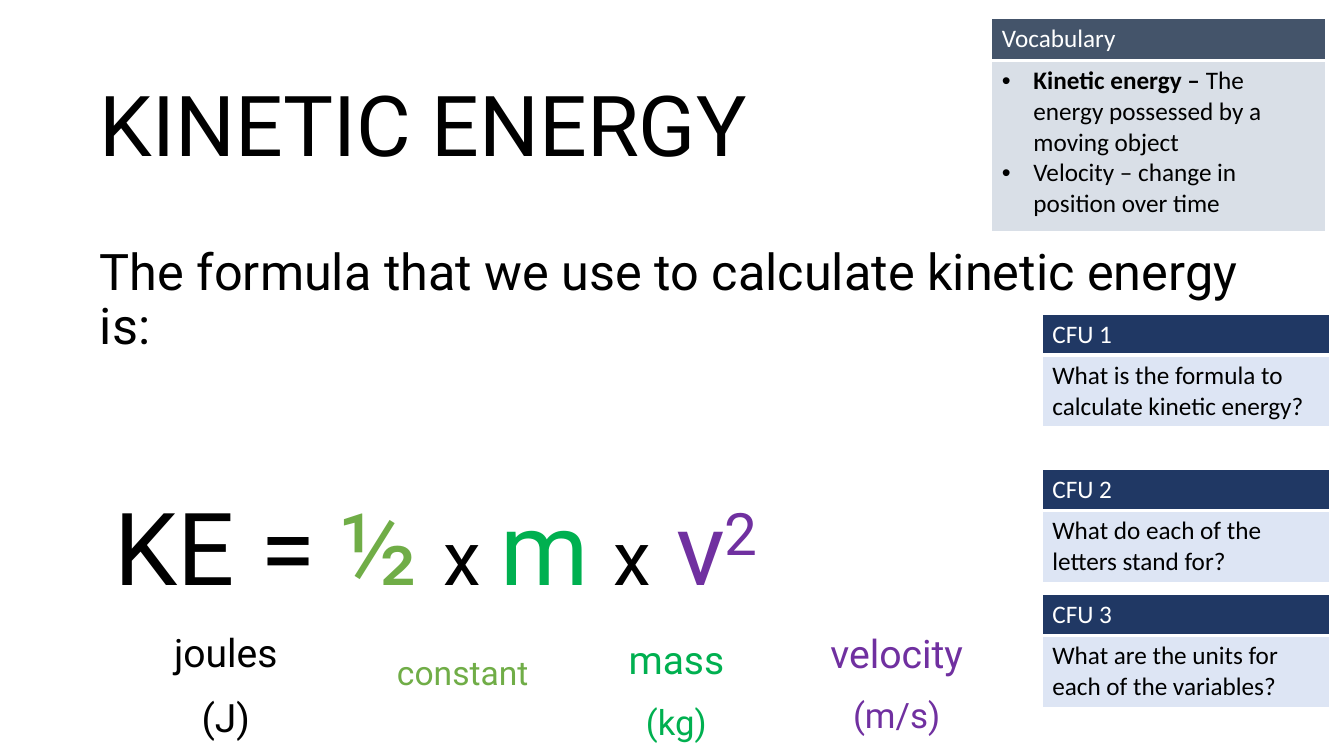
"""Build the kinetic energy slide with its formula, vocabulary and question tables."""
from dataclasses import dataclass
from typing import Any

from lxml.etree import SubElement, fromstring
from pptx import Presentation
from pptx.dml.color import RGBColor
from pptx.enum.text import MSO_ANCHOR as Anchor, MSO_AUTO_SIZE as AutoSize, PP_ALIGN as Align
from pptx.oxml.ns import nsdecls, qn
from pptx.util import Pt

BLACK, WHITE = "000000", "FFFFFF"
GREEN, LIME, PURPLE = "00B050", "70AD47", "7030A0"
NAVY, PALE_BLUE = "203864", "DAE3F3"
SLATE, PALE_SLATE = "44546A", "D6DCE5"
BODY_OPACITY = 91


@dataclass(frozen=True)
class Piece:
    text: str
    size: float
    color: str = BLACK
    font: str = "Roboto"
    bold: bool = False
    superscript: bool = False
    shadow: bool = False


@dataclass(frozen=True)
class Box:
    left: float
    top: float
    width: float
    height: float


@dataclass(frozen=True)
class Card:
    box: Box
    header_height: float
    heading: str
    lines: list[list[Piece]]
    header_fill: str = NAVY
    body_fill: str = PALE_BLUE
    bulleted: bool = False


@dataclass(frozen=True)
class Label:
    box: Box
    lines: list[list[Piece]]
    align: Align = Align.CENTER


def color_of(value: str) -> RGBColor:
    return RGBColor.from_string(value)


def add_piece(paragraph: Any, piece: Piece) -> None:
    run = paragraph.add_run()
    run.text = piece.text
    run.font.size = Pt(piece.size)
    run.font.bold = piece.bold
    run.font.color.rgb = color_of(piece.color)
    properties = run.font._element
    if piece.superscript:
        properties.set("baseline", "30000")
    if piece.shadow:
        properties.append(fromstring(
            f'<a:effectLst {nsdecls("a")}><a:outerShdw blurRad="38100" dist="38100" dir="2700000" algn="tl">'
            '<a:srgbClr val="000000"><a:alpha val="43000"/></a:srgbClr></a:outerShdw></a:effectLst>'))
    run.font.name = piece.font


def add_bullet(paragraph: Any) -> None:
    properties = paragraph._p.get_or_add_pPr()
    properties.set("marL", str(Pt(22.5)))
    properties.set("indent", str(-Pt(22.5)))
    SubElement(properties, qn("a:buFont")).set("typeface", "Arial")
    SubElement(properties, qn("a:buChar")).set("char", "•")


def fill_lines(frame: Any, lines: list[list[Piece]], bulleted: bool = False) -> list[Any]:
    for index, pieces in enumerate(lines):
        paragraph = frame.add_paragraph() if index else frame.paragraphs[0]
        if bulleted:
            add_bullet(paragraph)
        for piece in pieces:
            add_piece(paragraph, piece)
    return list(frame.paragraphs)


def style_cell(cell: Any, fill: str, bottom_line: float, opacity: int = 100) -> None:
    cell.fill.solid()
    cell.fill.fore_color.rgb = color_of(fill)
    properties = cell._tc.get_or_add_tcPr()
    if opacity < 100:
        color = properties.find(".//" + qn("a:srgbClr"))
        SubElement(color, qn("a:alpha")).set("val", str(opacity * 1000))
    for index, side in enumerate("LRTB"):
        width = Pt(bottom_line if side == "B" else 1)
        properties.insert(index, fromstring(
            f'<a:ln{side} {nsdecls("a")} w="{width}"><a:solidFill>'
            f'<a:srgbClr val="{WHITE}"/></a:solidFill></a:ln{side}>'))


def add_card(slide: Any, card: Card) -> None:
    box = card.box
    table = slide.shapes.add_table(
        2, 1, Pt(box.left), Pt(box.top), Pt(box.width), Pt(box.height)).table
    table.rows[0].height = Pt(card.header_height)
    table.rows[1].height = Pt(box.height - card.header_height)
    header, body = table.cell(0, 0), table.cell(1, 0)
    style_cell(header, card.header_fill, 3)
    style_cell(body, card.body_fill, 1, BODY_OPACITY)
    fill_lines(header.text_frame, [[Piece(card.heading, 18, WHITE, "Calibri")]])
    fill_lines(body.text_frame, card.lines, card.bulleted)


def add_label(slide: Any, label: Label) -> None:
    box = label.box
    shape = slide.shapes.add_textbox(Pt(box.left), Pt(box.top), Pt(box.width), Pt(box.height))
    shape.text_frame.word_wrap = True
    for index, paragraph in enumerate(fill_lines(shape.text_frame, label.lines)):
        paragraph.alignment = label.align
        paragraph.space_after = Pt(6)
        if index:
            paragraph.space_before = Pt(6.5)


def fill_placeholder(shape: Any, box: Box, piece: Piece, anchor: Anchor) -> None:
    shape.left, shape.top = Pt(box.left), Pt(box.top)
    shape.width, shape.height = Pt(box.width), Pt(box.height)
    frame = shape.text_frame
    frame.auto_size = AutoSize.NONE
    frame.word_wrap = True
    frame.vertical_anchor = anchor
    paragraph = frame.paragraphs[0]
    properties = paragraph._p.get_or_add_pPr()
    properties.set("marL", "0")
    properties.set("indent", "0")
    SubElement(properties, qn("a:buNone"))
    paragraph.alignment = Align.LEFT
    paragraph.line_spacing = 0.9
    paragraph.space_before = Pt(0)
    add_piece(paragraph, piece)


def formula_piece(text: str, size: float, color: str = BLACK, superscript: bool = False) -> Piece:
    return Piece(text, size, color, superscript=superscript, shadow=True)


def unit_label(box: Box, color: str, *lines: tuple[str, float]) -> Label:
    return Label(box, [[formula_piece(text, size, color)] for text, size in lines])


def question_card(number: int, top: float, question: str) -> Card:
    return Card(Box(744.5, top, 205.2, 79.2), 28.1, f"CFU {number}",
                [[Piece(question, 18, font="Calibri")]])


CARDS = [
    question_card(1, 224.6, "What is the formula to calculate kinetic energy?"),
    question_card(2, 335.5, "What do each of the letters stand for?"),
    question_card(3, 424.8, "What are the units for each of the variables?"),
    Card(Box(708.5, 13, 238.3, 152.6), 30.2, "Vocabulary",
         [[Piece("Kinetic energy – ", 18, font="Calibri", bold=True),
           Piece("The energy possessed by a moving object", 18, font="Calibri")],
          [Piece("Velocity – change in position over time", 18, font="Calibri")]],
         SLATE, PALE_SLATE, bulleted=True),
]
LABELS = [
    Label(Box(74.9, 342.7, 649.4, 105.8), [[
        formula_piece("KE = ", 72), formula_piece("½ ", 72, LIME), formula_piece("x ", 54),
        formula_piece("m ", 72, GREEN), formula_piece("x", 54), formula_piece(" ", 72),
        formula_piece("v", 72, PURPLE), formula_piece("2", 72, PURPLE, True)]], Align.LEFT),
    unit_label(Box(434.2, 450.7, 97.9, 74.9), GREEN, ("mass", 27.9), ("(kg)", 24.8)),
    unit_label(Box(572.4, 445.7, 136.1, 74.9), PURPLE, ("velocity", 28), ("(m/s)", 25)),
    unit_label(Box(101.5, 445.7, 119.5, 74.9), BLACK, ("joules", 27.9), ("(J)", 27.9)),
    unit_label(Box(255.6, 462.2, 149.8, 42.5), LIME, ("constant", 24)),
]


def main() -> None:
    presentation = Presentation()
    presentation.slide_width, presentation.slide_height = Pt(960), Pt(540)
    slide = presentation.slides.add_slide(presentation.slide_layouts[1])
    fill_placeholder(slide.shapes.title, Box(64.1, 54, 832.3, 76.3),
                     Piece("KINETIC ENERGY", 60), Anchor.MIDDLE)
    fill_placeholder(slide.placeholders[1], Box(64.1, 172.8, 830.9, 106.6),
                     Piece("The formula that we use to calculate kinetic energy is:", 36), Anchor.TOP)
    for card in CARDS:
        add_card(slide, card)
    for label in LABELS:
        add_label(slide, label)
    presentation.save("out.pptx")


if __name__ == "__main__":
    main()
